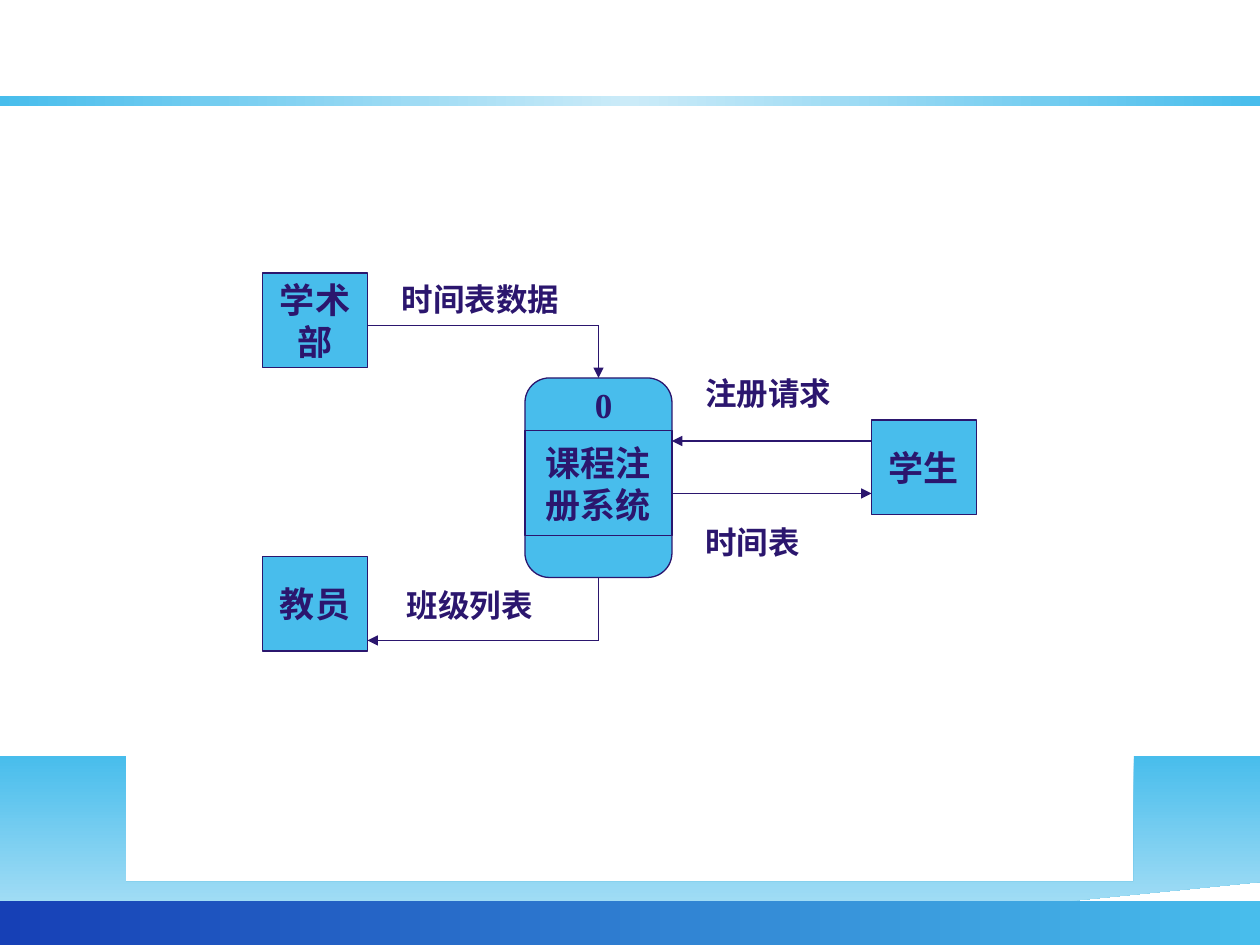
from copy import deepcopy

from pptx import Presentation
from pptx.dml.color import RGBColor
from pptx.enum.lang import MSO_LANGUAGE_ID
from pptx.enum.shapes import MSO_CONNECTOR, MSO_SHAPE
from pptx.enum.text import MSO_ANCHOR, MSO_AUTO_SIZE, PP_ALIGN
from pptx.oxml.ns import qn
from pptx.util import Inches, Pt

SKY = RGBColor(0x48, 0xBD, 0xEC)
PALE = RGBColor(0xE2, 0xF3, 0xFB)
MIST = RGBColor(0xCB, 0xEB, 0xF8)
ROYAL = RGBColor(0x16, 0x40, 0xB6)
INDIGO = RGBColor(0x2B, 0x16, 0x6E)
FONT = "Times New Roman"
TOP, BOTTOM = 0, 2  # connection sites


def grid(cells):
    """Length of a number of grid cells, twelve to the inch."""
    return Inches(cells / 12)


def set_gradient(shape, colors, angle):
    """Fill a shape with evenly spaced colours; the angle runs counterclockwise."""
    shape.shadow.inherit = False
    shape.line.fill.background()
    shape.fill.gradient()
    shape.fill.gradient_angle = angle
    stop_list = shape.element.spPr.find(".//" + qn("a:gsLst"))
    for _ in colors[2:]:
        stop_list.append(deepcopy(stop_list[0]))
    for index, (stop, color) in enumerate(zip(shape.fill.gradient_stops, colors)):
        stop.position = index / (len(colors) - 1)
        stop.color.rgb = color


def add_band(slide, top, height, colors):
    band = slide.shapes.add_shape(
        MSO_SHAPE.RECTANGLE, 0, Inches(top), Inches(10), Inches(height))
    set_gradient(band, colors, 180)


def curve_points(start, control_1, control_2, end, steps=40):
    """Points along a cubic curve, without its start."""
    points = []
    for step in range(1, steps + 1):
        t = step / steps
        weights = ((1 - t) ** 3, 3 * t * (1 - t) ** 2, 3 * t * t * (1 - t), t ** 3)
        points.append(tuple(
            sum(weight * value for weight, value in zip(weights, values))
            for values in zip(start, control_1, control_2, end)))
    return points


def add_wave(slide):
    right, middle, left = (10, 5.95), (4.92, 7.04), (0, 6.02)
    points = [right]
    points += curve_points(right, (8.49, 6.95), (6.42, 7.01), middle)
    points += curve_points(middle, (3.42, 7.07), (1.11, 6.78), left)
    points.append((0, 7.5))
    builder = slide.shapes.build_freeform(10, 7.49, scale=Inches(1))
    builder.add_line_segments(points, close=True)
    set_gradient(builder.convert_to_shape(), (SKY, PALE), 270)


def set_text(shape, text, size=20, align=PP_ALIGN.CENTER, anchor=MSO_ANCHOR.MIDDLE):
    frame = shape.text_frame
    frame.word_wrap = False
    frame.vertical_anchor = anchor
    frame.text = text
    for paragraph in frame.paragraphs:
        paragraph.alignment = align
        font = paragraph.runs[0].font
        font.name = FONT
        font.size = Pt(size)
        font.bold = True
        font.color.rgb = INDIGO
        font.language_id = MSO_LANGUAGE_ID.SIMPLIFIED_CHINESE


def add_box(slide, column, row, columns, rows, text="", kind=MSO_SHAPE.RECTANGLE,
            outlined=True):
    box = slide.shapes.add_shape(
        kind, grid(column), grid(row), grid(columns), grid(rows))
    box.shadow.inherit = False
    box.fill.solid()
    box.fill.fore_color.rgb = SKY
    if outlined:
        box.line.color.rgb = INDIGO
        box.line.width = Pt(0.75)
    else:
        box.line.fill.background()
    if text:
        set_text(box, text)
    return box


def add_entity(slide, column, row, text):
    add_box(slide, column, row, 10, 9, text)


def add_label(slide, left, top, width, text, align=PP_ALIGN.LEFT):
    label = slide.shapes.add_textbox(
        Inches(left), Inches(top), Inches(width), Inches(0.4))
    set_text(label, text, size=18, align=align, anchor=MSO_ANCHOR.TOP)
    label.text_frame.auto_size = MSO_AUTO_SIZE.SHAPE_TO_FIT_TEXT


def add_flow(slide, start, end, arrow=False):
    """Straight line between two grid points, with an arrowhead at its end if asked."""
    flow = slide.shapes.add_connector(
        MSO_CONNECTOR.STRAIGHT, *(grid(cells) for cells in start + end))
    flow.line.color.rgb = INDIGO
    flow.line.width = Pt(0.75)
    if arrow:
        line = flow.line._get_or_add_ln()
        line.append(line.makeelement(qn("a:tailEnd"), {"type": "triangle"}))
    properties = flow.element.spPr
    properties.append(properties.makeelement(qn("a:effectLst"), {}))
    return flow


def main():
    presentation = Presentation()
    presentation.slide_width = Inches(10)
    presentation.slide_height = Inches(7.5)
    slide = presentation.slides.add_slide(presentation.slide_layouts[6])

    # Background decoration
    add_wave(slide)
    add_band(slide, 7.15, 0.36, (SKY, ROYAL))
    add_band(slide, 0.76, 0.08, (SKY, MIST, SKY))

    # Central process
    process = add_box(slide, 50, 36, 14, 19, kind=MSO_SHAPE.ROUNDED_RECTANGLE)
    add_box(slide, 50, 41, 14, 10, "课程注\n册系统")
    add_box(slide, 54, 37, 7, 3, "0", outlined=False)

    # External entities
    add_entity(slide, 25, 26, "学术\n部")
    add_entity(slide, 25, 53, "教员")
    add_entity(slide, 83, 40, "学生")

    # Data flows
    add_flow(slide, (35, 31), (57, 31))
    add_flow(slide, (57, 31), (57, 36), arrow=True).end_connect(process, TOP)
    add_flow(slide, (57, 55), (57, 61)).begin_connect(process, BOTTOM)
    add_flow(slide, (57, 61), (35, 61), arrow=True)
    add_flow(slide, (83, 42), (64, 42), arrow=True)
    add_flow(slide, (64, 47), (83, 47), arrow=True)

    # Flow labels
    add_label(slide, 3.09, 2.17, 1.45, "时间表数据")
    add_label(slide, 3.13, 4.6, 1.2, "班级列表", align=PP_ALIGN.CENTER)
    add_label(slide, 5.5, 2.92, 1.2, "注册请求")
    add_label(slide, 5.5, 4.1, 0.95, "时间表")

    presentation.save("out.pptx")


if __name__ == "__main__":
    main()
